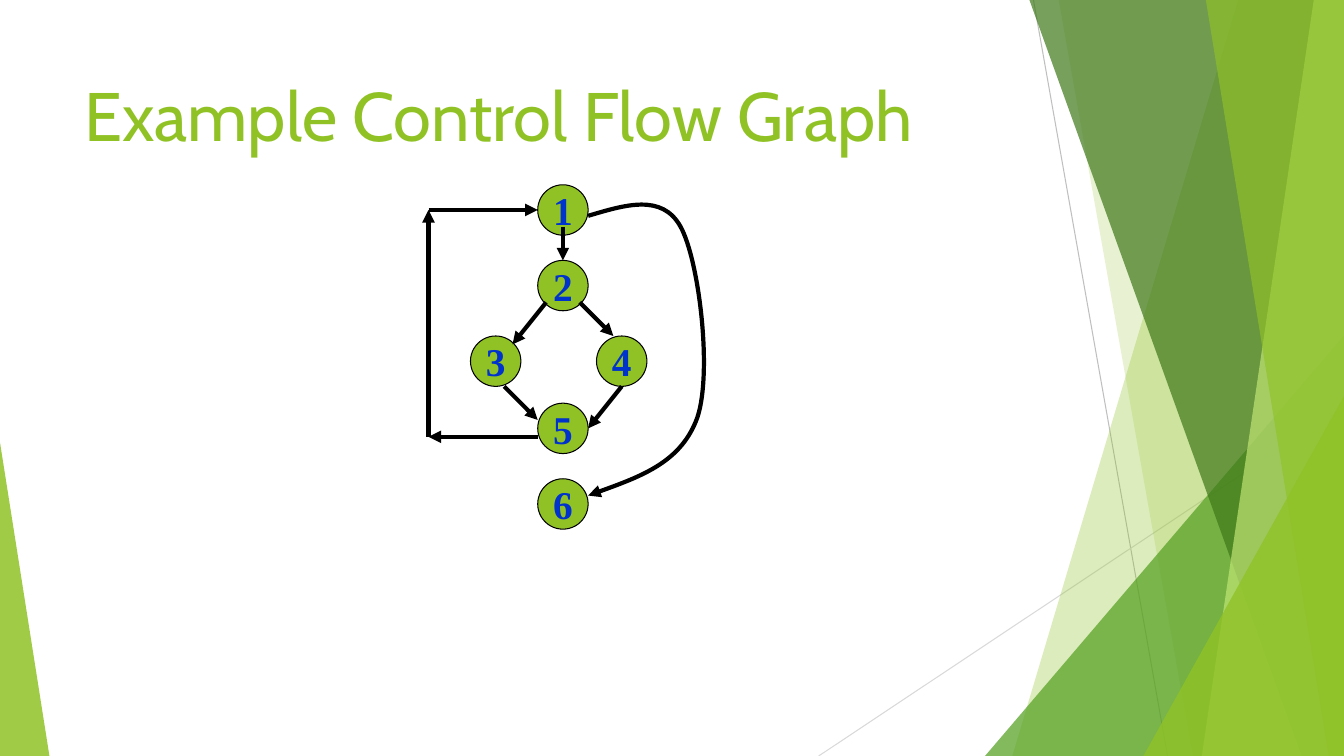
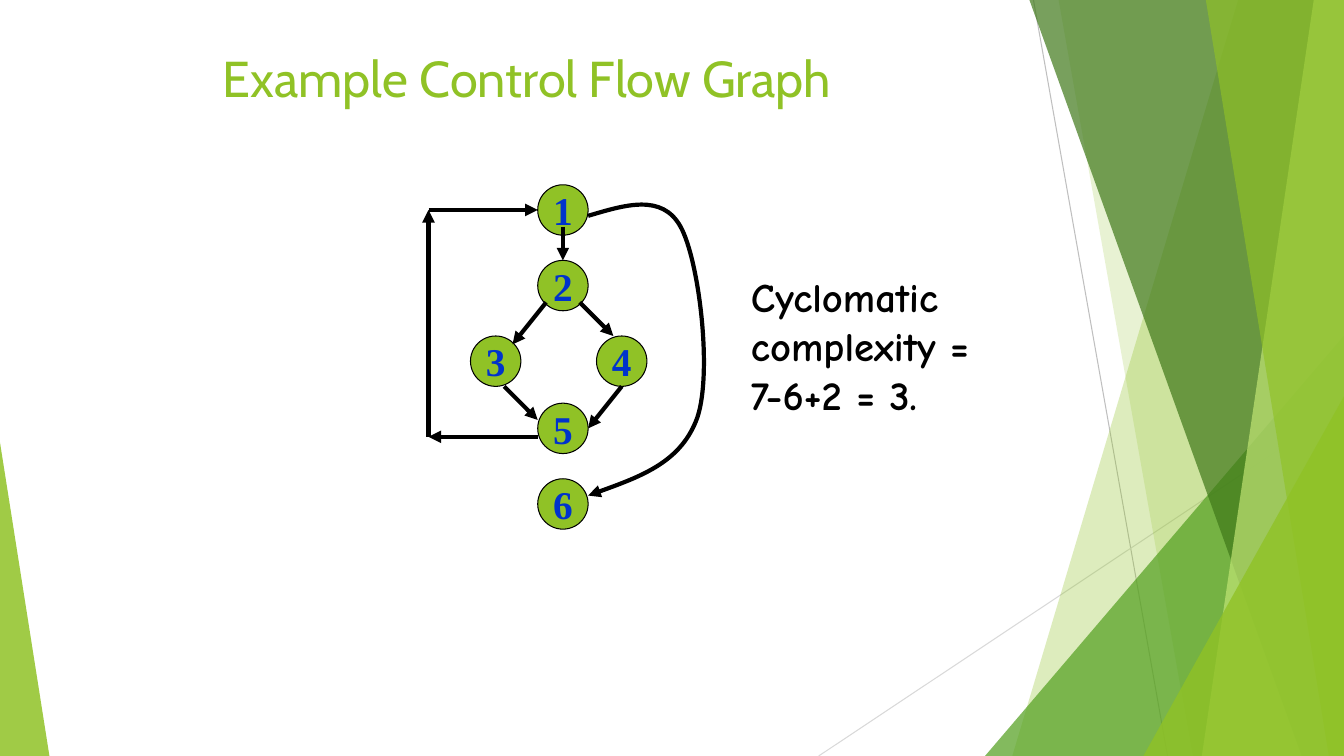
from lxml.etree import SubElement
from pptx import Presentation
from pptx.dml.color import RGBColor
from pptx.enum.shapes import MSO_CONNECTOR as Connector, MSO_SHAPE as Preset
from pptx.enum.text import MSO_ANCHOR as Anchor, MSO_AUTO_SIZE as AutoSize, PP_ALIGN as Align
from pptx.oxml.ns import qn
from pptx.util import Inches, Pt

WIDTH, HEIGHT = 13.33, 7.5
UNIT = 1 / 12
NODE_SIZE = 6

THEME = {
    "lime": "90C226", "green": "54A021", "forest": "3F7819", "pale": "C0E474",
    "ink": "000000", "silver": "BFBFBF", "mist": "D9D9D9",
    "thin": 0.75, "thick": 3,
    "title": {"name": "Cabin", "color": "90C226", "bold": False},
    "node": {"name": "Times New Roman", "size": 28.1, "color": "0033CC", "bold": True},
    "note": {"name": "Comic Neue", "size": 29, "color": "000000", "bold": True},
}

SLIDES = [
    {"title": "Example Control Flow Graph", "box": (0.74, 0.67, 9.4, 1.44), "size": 49},
    {"title": "Example Control Flow Graph", "box": (2.11, 0.42, 8.5, 1.25), "size": 36,
     "note": "Cyclomatic complexity = \v7-6+2 = 3.", "note_box": (7.35, 2.65, 3.36, 1.57)},
]

NODES = {"1": (64, 22), "2": (64, 31), "3": (56, 40), "4": (71, 40), "5": (64, 48), "6": (64, 57)}
EDGES = [
    ((67, 27), (67, 31)),
    ((65, 36), (61, 41)),
    ((69, 36), (73, 40)),
    ((60, 46), (64, 50)),
    ((74, 46), (70, 51)),
    ((64, 52), (51, 52)),
    ((51, 52), (51, 25)),
    ((51, 25), (64, 25)),
]
EXIT_CURVE = [
    (70, 25.7),
    (74.4, 24.4), (78.8, 23), (81, 27),
    (83.2, 31), (84.8, 44.3), (83, 49.7),
    (81.1, 55), (75.6, 57), (70, 59),
]

HAIRLINES = [((10.25, 0), (11.58, HEIGHT), "silver"), ((WIDTH, 4.03), (8.12, HEIGHT), "mist")]
FACETS = [
    ("band", (12.28, 10.04), "lime", 30),
    ("band", (10.5, 11.83), "lime", 20),
    ("corner", (9.77, 3.33, WIDTH, 1), "green", 72),
    ("band", (10.21, 12.91), "forest", 70),
    ("band", (13.03, 11.92), "pale", 70),
    ("band", (11.96, 13.18), "lime", 65),
    ("corner", (11.34, 3.93, WIDTH, 1), "lime", 80),
    ("corner", (0, 4.39, 0.49, 0), "lime", 85),
]


def color(name):
    return RGBColor.from_string(THEME.get(name, name))


def inches(values):
    return [Inches(value) for value in values]


def grid(point):
    return [Inches(value * UNIT) for value in point]


def assign(target, values):
    for name, value in values.items():
        setattr(target, name, value)


def style_font(font, style):
    assign(font, {"name": style["name"], "size": Pt(style["size"]), "bold": style["bold"]})
    font.color.rgb = color(style["color"])


def style_line(shape, name, width, arrow=False):
    shape.line.color.rgb = color(name)
    shape.line.width = Pt(width)
    if arrow:
        SubElement(shape.element.spPr.find(qn("a:ln")), qn("a:tailEnd"), type="triangle")


def style_fill(shape, name, opacity=100):
    shape.shadow.inherit = False
    shape.fill.solid()
    shape.fill.fore_color.rgb = color(name)
    if opacity < 100:
        fill = shape.element.spPr.find(qn("a:solidFill"))
        SubElement(fill[0], qn("a:alpha"), val=str(opacity * 1000))


def add_line(shapes, start, end, name, width, arrow=False):
    line = shapes.add_connector(Connector.STRAIGHT, *start, *end)
    style_line(line, name, width, arrow)
    SubElement(line.element.spPr, qn("a:effectLst"))


def add_band(shapes, top, bottom):
    start, *others = [inches(point) for point in
                      ((top, 0), (WIDTH, 0), (WIDTH, HEIGHT), (bottom, HEIGHT))]
    builder = shapes.build_freeform(*start)
    builder.add_line_segments(others, close=True)
    return builder.convert_to_shape()


def add_corner(shapes, left, top, right, apex):
    shape = shapes.add_shape(Preset.ISOSCELES_TRIANGLE,
                             *inches((left, top, right - left, HEIGHT - top)))
    shape.adjustments[0] = apex
    return shape


def add_background(master, slide):
    group = slide.shapes.add_group_shape()
    for start, end, name in HAIRLINES:
        add_line(group.shapes, inches(start), inches(end), name, THEME["thin"])
    makers = {"band": add_band, "corner": add_corner}
    for kind, place, name, opacity in FACETS:
        shape = makers[kind](group.shapes, *place)
        style_fill(shape, name, opacity)
        shape.line.fill.background()
    for number, properties in enumerate(group.element.iter(qn("p:cNvPr")), 100):
        properties.set("id", str(number))
    master.shapes.element.insert(2, group.element)


def add_title(slide, text, box, size):
    title = slide.shapes.title
    assign(title, dict(zip(("left", "top", "width", "height"), inches(box))))
    title.text_frame.text = text
    assign(title.text_frame, {"vertical_anchor": Anchor.TOP, "auto_size": AutoSize.NONE})
    paragraph = title.text_frame.paragraphs[0]
    paragraph.alignment = Align.LEFT
    style_font(paragraph.runs[0].font, {**THEME["title"], "size": size})


def add_node(shapes, label, corner):
    node = shapes.add_shape(Preset.OVAL, *grid((*corner, NODE_SIZE, NODE_SIZE)))
    style_fill(node, "lime")
    style_line(node, "ink", THEME["thin"])
    node.text_frame.text = label
    assign(node.text_frame, {"word_wrap": False, "vertical_anchor": Anchor.MIDDLE})
    paragraph = node.text_frame.paragraphs[0]
    paragraph.alignment = Align.CENTER
    style_font(paragraph.runs[0].font, THEME["node"])


def add_curve(shapes, points):
    start, *others = [grid(point) for point in points]
    builder = shapes.build_freeform(*start)
    builder.add_line_segments(others, close=False)
    curve = builder.convert_to_shape()
    curve.shadow.inherit = False
    curve.fill.background()
    style_line(curve, "ink", THEME["thick"], arrow=True)
    segments = list(curve.element.iter(qn("a:lnTo")))
    outline = segments[0].getparent()
    for first in range(0, len(segments), 3):
        bezier = SubElement(outline, qn("a:cubicBezTo"))
        for segment in segments[first:first + 3]:
            bezier.append(segment[0])
            outline.remove(segment)


def add_graph(shapes):
    for label, corner in NODES.items():
        add_node(shapes, label, corner)
    for start, end in EDGES:
        add_line(shapes, grid(start), grid(end), "ink", THEME["thick"], arrow=True)
    add_curve(shapes, EXIT_CURVE)


def add_note(shapes, text, box):
    frame = shapes.add_textbox(*inches(box)).text_frame
    frame.word_wrap = True
    frame.text = text
    for run in frame.paragraphs[0].runs:
        style_font(run.font, THEME["note"])


def main():
    presentation = Presentation()
    assign(presentation, {"slide_width": Inches(WIDTH), "slide_height": Inches(HEIGHT)})
    layout = presentation.slide_layouts.get_by_name("Title Only")
    for index, content in enumerate(SLIDES):
        slide = presentation.slides.add_slide(layout)
        if index == 0:
            add_background(presentation.slide_master, slide)
        add_title(slide, content["title"], content["box"], content["size"])
        add_graph(slide.shapes)
        if "note" in content:
            add_note(slide.shapes, content["note"], content["note_box"])
    presentation.save("out.pptx")


if __name__ == "__main__":
    main()
